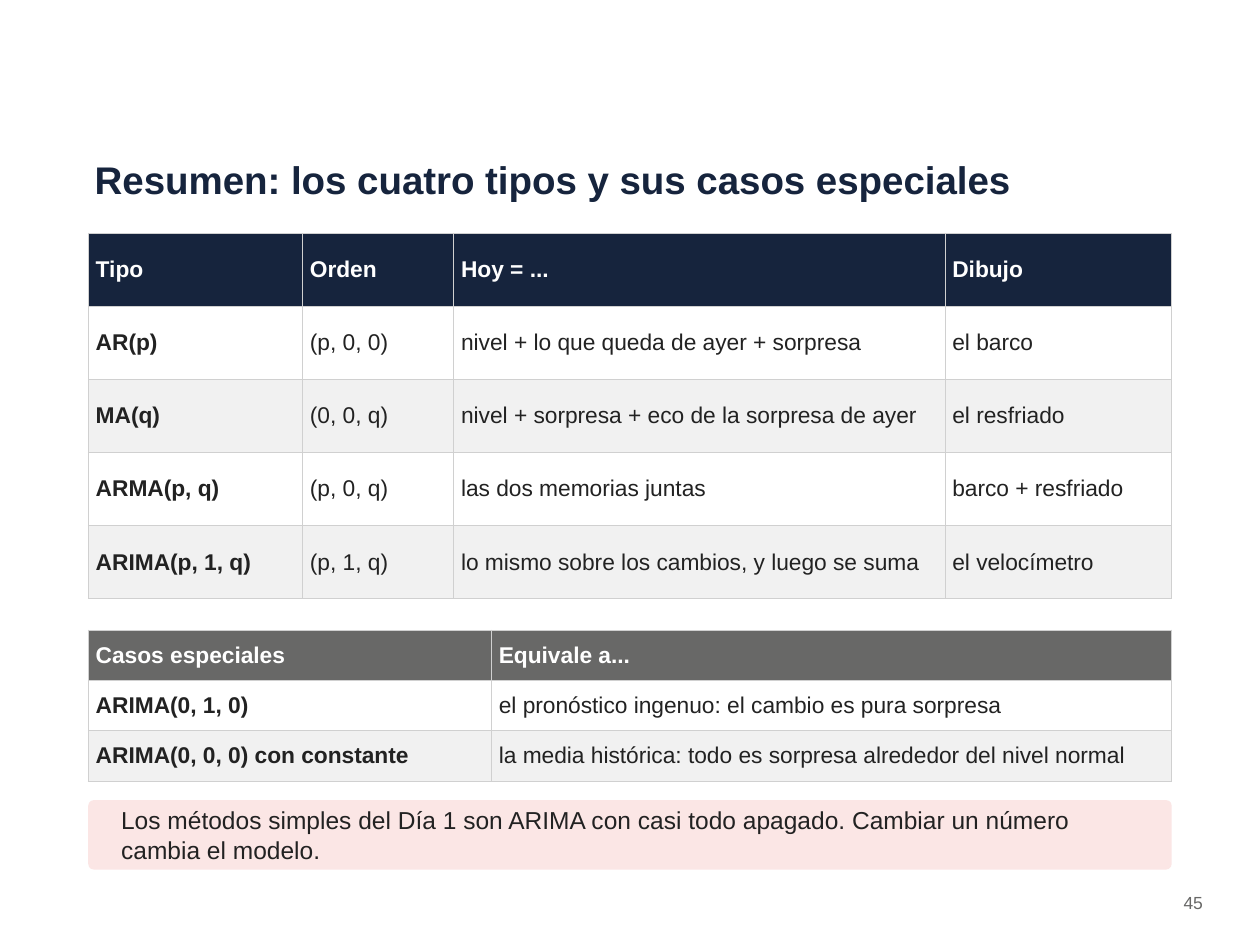
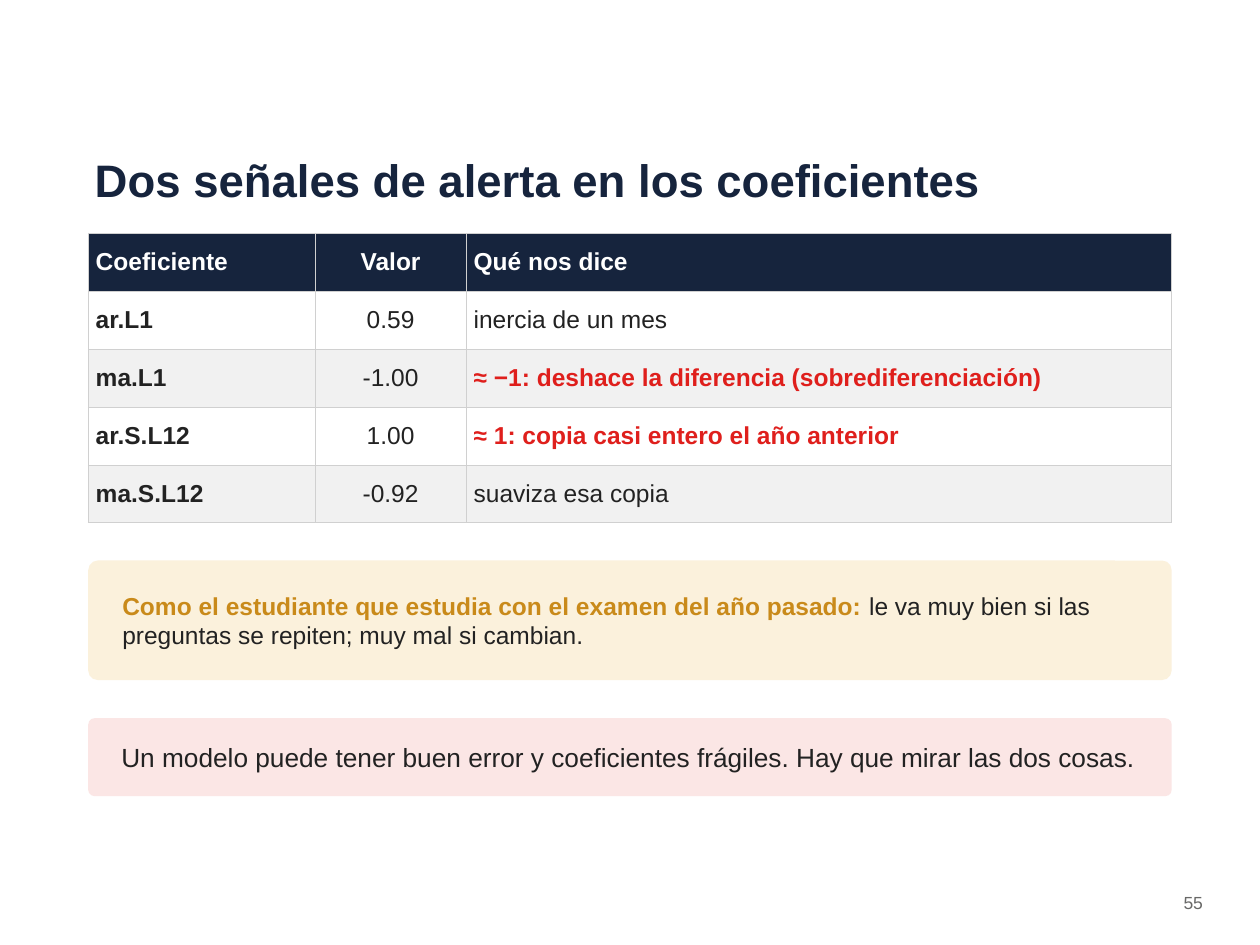
from collections import namedtuple
from dataclasses import dataclass

from lxml.etree import SubElement
from pptx import Presentation
from pptx.dml.color import RGBColor
from pptx.enum.shapes import MSO_SHAPE as Shape
from pptx.enum.text import MSO_ANCHOR as Anchor, MSO_AUTO_SIZE as AutoSize, PP_ALIGN as Align
from pptx.oxml.ns import qn
from pptx.util import Cm, Pt

Box = namedtuple("Box", "left top width height")


@dataclass(frozen=True)
class Theme:
    font: str = "Arial"
    navy: str = "16243D"
    gray: str = "686867"
    ink: str = "222222"
    white: str = "FFFFFF"
    band: str = "F1F1F1"
    border: str = "D0D0D0"
    red: str = "DF1F1C"
    amber: str = "C98A1A"
    pink: str = "FBE6E5"
    cream: str = "FBF1DC"
    border_width: int = Pt(0.5)
    after: int = Pt(4)
    number_size: int = 10
    small: int = 13
    body: int = 14
    large: int = 15


THEME = Theme()
LEFT, WIDTH = 1.78, 21.84
TITLE_BOX = Box(LEFT, 2.67, WIDTH, 1.9)
NUMBER_BOX = Box(22.86, 17.91, 1.52, 0.76)


def content_box(top, height):
    return Box(LEFT, top, WIDTH, height)


def to_lengths(box):
    return [Cm(value) for value in box]


def style_font(font, size, color, bold=False):
    font.name = THEME.font
    font.size = Pt(size)
    font.bold = bold
    font.color.rgb = RGBColor.from_string(color)


def style_frame(frame, anchor, side=0.13):
    frame.word_wrap = True
    frame.auto_size = AutoSize.NONE
    frame.vertical_anchor = anchor
    frame.margin_left = frame.margin_right = Cm(side)
    frame.margin_top = frame.margin_bottom = Cm(0.08)


def style_paragraph(para, align=Align.LEFT):
    para.alignment = align
    para.space_after = THEME.after


def add_title(page, text, size):
    title = page.shapes.title
    title.left, title.top, title.width, title.height = to_lengths(TITLE_BOX)
    title.text = text
    style_frame(title.text_frame, Anchor.MIDDLE)
    para = title.text_frame.paragraphs[0]
    style_paragraph(para)
    style_font(para.font, size, THEME.navy, bold=True)


def add_page_number(page, number):
    frame = page.shapes.add_textbox(*to_lengths(NUMBER_BOX)).text_frame
    style_frame(frame, Anchor.TOP)
    para = frame.paragraphs[0]
    para.text = str(number)
    style_paragraph(para, Align.RIGHT)
    style_font(para.font, THEME.number_size, THEME.gray)


def add_borders(cell):
    """Draw the four cell edges; they must precede the fill in the cell properties."""
    properties = cell._tc.get_or_add_tcPr()
    for position, edge in enumerate(("a:lnL", "a:lnR", "a:lnT", "a:lnB")):
        line = properties.makeelement(qn(edge), {"w": str(THEME.border_width)})
        fill = SubElement(line, qn("a:solidFill"))
        SubElement(fill, qn("a:srgbClr"), val=THEME.border)
        properties.insert(position, line)


def fill_cell(cell, text, fill, size, color, bold, align):
    cell.fill.solid()
    cell.fill.fore_color.rgb = RGBColor.from_string(fill)
    add_borders(cell)
    cell.vertical_anchor = Anchor.MIDDLE
    cell.margin_left = cell.margin_right = Cm(0.15)
    cell.margin_top = cell.margin_bottom = Cm(0.08)
    para = cell.text_frame.paragraphs[0]
    para.text = text
    para.alignment = align
    style_font(para.font, size, color, bold)


def add_grid(page, box, rows, shares, size, header_fill=THEME.navy, centered=(), alerts=()):
    """Add a table with columns in the given shares; alerts lists (row, column) cells in red."""
    table = page.shapes.add_table(len(rows), len(shares), *to_lengths(box)).table
    table.horz_banding = False
    for column, share in zip(table.columns, shares):
        column.width = Cm(box.width * share / sum(shares))
    for r, texts in enumerate(rows):
        table.rows[r].height = Cm(box.height / len(rows))
        for c, text in enumerate(texts):
            if r == 0:
                fill, color = header_fill, THEME.white
            else:
                fill = THEME.white if r % 2 else THEME.band
                color = THEME.red if (r, c) in alerts else THEME.ink
            bold = r == 0 or c == 0 or (r, c) in alerts
            align = Align.CENTER if c in centered else Align.LEFT
            fill_cell(table.cell(r, c), text, fill, size, color, bold, align)


def add_callout(page, box, text, fill, size, lead=""):
    """Add a rounded panel whose text may open with a bold amber lead."""
    panel = page.shapes.add_shape(Shape.ROUNDED_RECTANGLE, *to_lengths(box))
    panel.adjustments[0] = 0.08
    panel.shadow.inherit = False
    panel.fill.solid()
    panel.fill.fore_color.rgb = RGBColor.from_string(fill)
    panel.line.fill.background()
    style_frame(panel.text_frame, Anchor.MIDDLE, side=0.63)
    para = panel.text_frame.paragraphs[0]
    style_paragraph(para)
    style_font(para.font, size, THEME.ink)
    if lead:
        span = para.add_run()
        span.text = lead + " "
        style_font(span.font, size, THEME.amber, bold=True)
    span = para.add_run()
    span.text = text
    style_font(span.font, size, THEME.ink)


def add_page(deck, title, title_size, number):
    page = deck.slides.add_slide(deck.slide_layouts.get_by_name("Title Only"))
    add_title(page, title, title_size)
    add_page_number(page, number)
    return page


def build_summary(deck):
    page = add_page(deck, "Resumen: los cuatro tipos y sus casos especiales", 22, 45)
    model_types = [
        ("Tipo", "Orden", "Hoy = ...", "Dibujo"),
        ("AR(p)", "(p, 0, 0)", "nivel + lo que queda de ayer + sorpresa", "el barco"),
        ("MA(q)", "(0, 0, q)", "nivel + sorpresa + eco de la sorpresa de ayer", "el resfriado"),
        ("ARMA(p, q)", "(p, 0, q)", "las dos memorias juntas", "barco + resfriado"),
        ("ARIMA(p, 1, q)", "(p, 1, q)", "lo mismo sobre los cambios, y luego se suma",
         "el velocímetro"),
    ]
    special_cases = [
        ("Casos especiales", "Equivale a..."),
        ("ARIMA(0, 1, 0)", "el pronóstico ingenuo: el cambio es pura sorpresa"),
        ("ARIMA(0, 0, 0) con constante",
         "la media histórica: todo es sorpresa alrededor del nivel normal"),
    ]
    add_grid(page, content_box(4.7, 7.37), model_types, (17, 12, 39, 18), THEME.small)
    add_grid(page, content_box(12.7, 3.05), special_cases, (32, 54), THEME.small,
             header_fill=THEME.gray)
    add_callout(page, content_box(16.13, 1.4),
                "Los métodos simples del Día 1 son ARIMA con casi todo apagado. "
                "Cambiar un número cambia el modelo.", THEME.pink, THEME.body)


def build_warning_signs(deck):
    page = add_page(deck, "Dos señales de alerta en los coeficientes", 26, 55)
    coefficients = [
        ("Coeficiente", "Valor", "Qué nos dice"),
        ("ar.L1", "0.59", "inercia de un mes"),
        ("ma.L1", "-1.00", "≈ −1: deshace la diferencia (sobrediferenciación)"),
        ("ar.S.L12", "1.00", "≈ 1: copia casi entero el año anterior"),
        ("ma.S.L12", "-0.92", "suaviza esa copia"),
    ]
    add_grid(page, content_box(4.7, 5.84), coefficients, (18, 12, 56), THEME.body,
             centered=(1,), alerts=((2, 2), (3, 2)))
    add_callout(page, content_box(11.3, 2.41),
                "le va muy bien si las preguntas se repiten; muy mal si cambian.",
                THEME.cream, THEME.body,
                lead="Como el estudiante que estudia con el examen del año pasado:")
    add_callout(page, content_box(14.48, 1.57),
                "Un modelo puede tener buen error y coeficientes frágiles. "
                "Hay que mirar las dos cosas.", THEME.pink, THEME.large)


def main():
    deck = Presentation()
    deck.slide_width, deck.slide_height = Cm(25.4), Cm(19.05)
    build_summary(deck)
    build_warning_signs(deck)
    deck.save("out.pptx")


if __name__ == "__main__":
    main()
